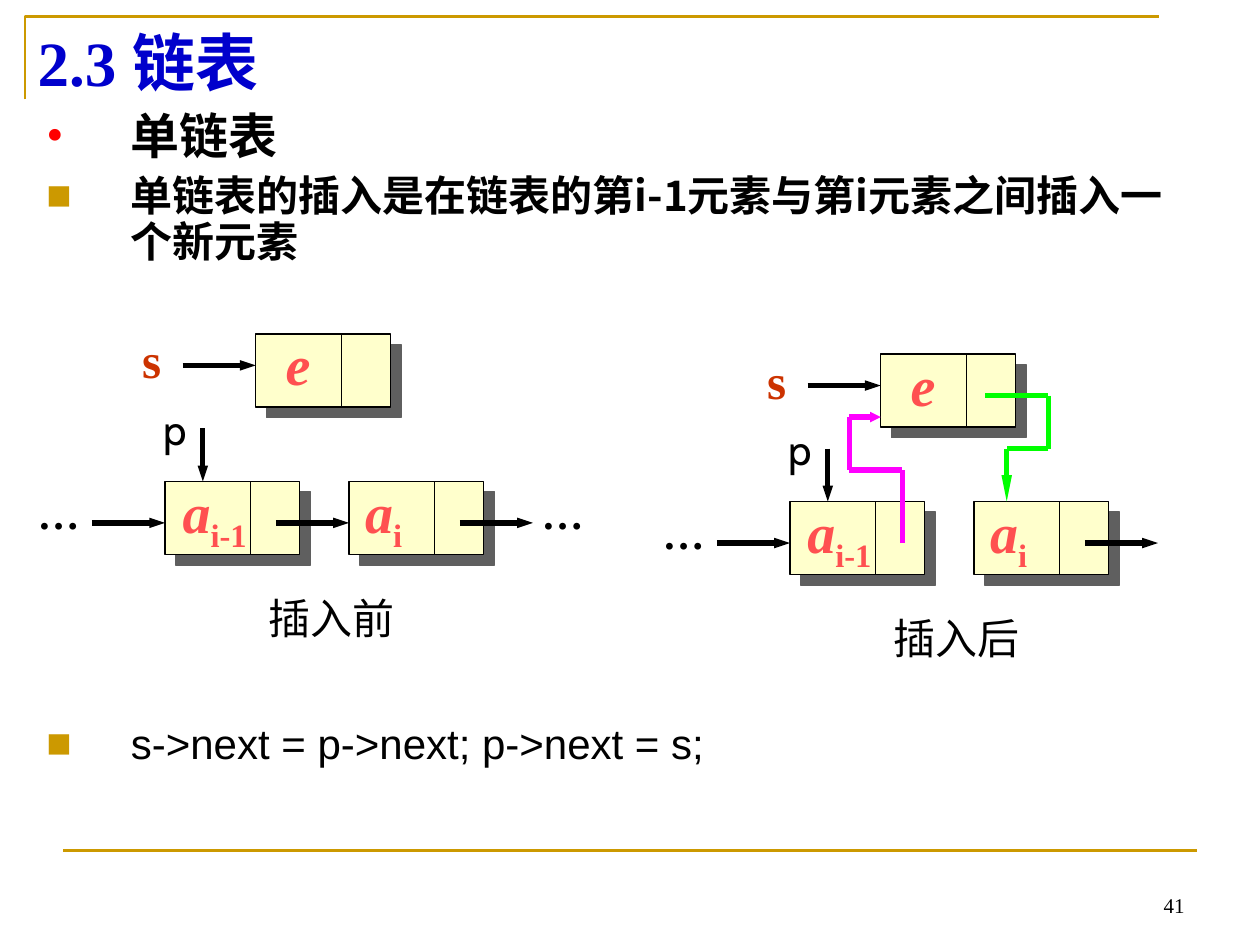
from lxml.etree import SubElement
from pptx import Presentation
from pptx.dml.color import RGBColor
from pptx.enum.shapes import MSO_CONNECTOR, MSO_SHAPE
from pptx.enum.text import MSO_ANCHOR, PP_ALIGN
from pptx.oxml.ns import qn
from pptx.util import Inches, Pt

GOLD, BLACK, MAGENTA, GREEN = "CC9900", "000000", "FF00FF", "00FF00"
SERIF, SANS, CJK = "Times New Roman", "Cabin", "Noto Sans CJK SC"
ELEMENT = dict(size=32, color="FF5050", bold=True, italic=True)
POINTER = dict(size=28, color="CC3300", bold=True)
DOTS = dict(size=24, bold=True)
CAPTION = dict(size=24, font=SANS)

TITLE = "2.3 链表"
TOPICS = [
    ("单链表", 28, "•", "FF0000", CJK, True),
    ("单链表的插入是在链表的第i-1元素与第i元素之间插入一个新元素", 24, "■", GOLD, CJK, True),
]
CODE = [("s->next = p->next; p->next = s;", 24, "■", GOLD, "Arial", False)]

NODE_W, NODE_H, DATA_W, ARROW = 1.07, 0.58, 0.68, 0.58
NODES = [(1.31, 3.82), (2.77, 3.82), (2.03, 2.65)]
ELEMENTS = [
    ("a", "i-1", 1.35, 3.74, 0.75, 0.71),
    ("a", "i", 2.8, 3.74, 0.75, 0.71),
    ("e", "", 2.04, 2.57, 0.65, 0.64),
]
LABELS = [
    ("s", 1.03, 2.57, 0.4, 0.57, POINTER),
    ("p", 1.2, 3.15, 0.75, 0.5, CAPTION),
    ("…", 0.2, 3.82, 0.75, 0.5, DOTS),
]
ARROWS = [
    (0.73, 4.15, 0.73 + ARROW, 4.15),
    (3.65, 4.15, 3.65 + ARROW, 4.15),
    (1.45, 2.9, 1.45 + ARROW, 2.9),
    (1.61, 3.4, 1.61, 3.82),
]
BEFORE, AFTER = (0, 0), (4.96, 0.16)
NEW_LINKS = [
    (MAGENTA, "sm", [(7.16, 4.31), (7.16, 3.73), (6.74, 3.73), (6.74, 3.31), (6.99, 3.31)]),
    (GREEN, "lg", [(7.82, 3.14), (8.32, 3.14), (8.32, 3.56), (7.99, 3.56), (7.99, 3.98)]),
]

deck = Presentation()
deck.slide_width, deck.slide_height = Inches(10), Inches(7.5)
slide = deck.slides.add_slide(deck.slide_layouts[6])
shapes = slide.shapes


def rgb(color):
    return RGBColor.from_string(color)


def set_font(font, size, color=BLACK, font_name=SERIF, bold=False, italic=False):
    font.size, font.name, font.bold, font.italic = Pt(size), font_name, bold, italic
    font.color.rgb = rgb(color)


def add_frame(x, y, w, h):
    frame = shapes.add_textbox(*map(Inches, (x, y, w, h))).text_frame
    frame.word_wrap = True
    return frame


def add_label(text, x, y, w, h, size, color=BLACK, font=SERIF, bold=False, italic=False,
              sub="", align=PP_ALIGN.LEFT, anchor=MSO_ANCHOR.TOP):
    frame = add_frame(x, y, w, h)
    frame.vertical_anchor = anchor
    paragraph = frame.paragraphs[0]
    paragraph.alignment = align
    paragraph.add_run().text = text
    set_font(paragraph.font, size, color, font, bold, italic)
    if sub:
        subscript = paragraph.add_run()
        subscript.text = sub
        subscript.font.italic = False
        subscript.font._element.set("baseline", "-25000")


def add_bullets(items, x, y, w, h):
    frame = add_frame(x, y, w, h)
    for index, (text, size, mark, mark_color, font, bold) in enumerate(items):
        paragraph = frame.add_paragraph() if index else frame.paragraphs[0]
        paragraph.text = text
        props = paragraph._p.get_or_add_pPr()
        props.set("marL", str(Inches(0.67)))
        props.set("indent", str(-Inches(0.67)))
        SubElement(SubElement(props, qn("a:buClr")), qn("a:srgbClr"), val=mark_color)
        SubElement(props, qn("a:buFont"), typeface=SERIF)
        SubElement(props, qn("a:buChar"), char=mark)
        paragraph.line_spacing = 0.9
        if index:
            paragraph.space_before = Pt(6)
        set_font(paragraph.font, size, font_name=font, bold=bold)


def add_line(x1, y1, x2, y2, color=BLACK, width=3, head=None):
    line = shapes.add_connector(MSO_CONNECTOR.STRAIGHT, *map(Inches, (x1, y1, x2, y2)))
    line.line.color.rgb = rgb(color)
    line.line.width = Pt(width)
    if head:
        SubElement(line.line._get_or_add_ln(), qn("a:tailEnd"), type="triangle", w="sm", len=head)
    SubElement(line._element.spPr, qn("a:effectLst"))


def add_node(x, y):
    node = shapes.add_shape(MSO_SHAPE.RECTANGLE, *map(Inches, (x, y, NODE_W, NODE_H)))
    node.fill.solid()
    node.fill.fore_color.rgb = rgb("FFFFCC")
    node.line.color.rgb = rgb(BLACK)
    node.line.width = Pt(0.75)
    node.shadow.inherit = False
    effects = node._element.spPr.find(qn("a:effectLst"))
    shadow = SubElement(effects, qn("a:outerShdw"), dist=str(Pt(8.5)), dir="2700000",
                        algn="ctr", rotWithShape="0")
    SubElement(shadow, qn("a:srgbClr"), val="5F5F5F")
    add_line(x + DATA_W, y, x + DATA_W, y + NODE_H, width=0.75)


def add_list_diagram(dx, dy):
    for x, y in NODES:
        add_node(x + dx, y + dy)
    for text, sub, x, y, w, h in ELEMENTS:
        add_label(text, x + dx, y + dy, w, h, sub=sub,
                  align=PP_ALIGN.LEFT if sub else PP_ALIGN.CENTER, **ELEMENT)
    for text, x, y, w, h, style in LABELS:
        add_label(text, x + dx, y + dy, w, h, **style)
    for x1, y1, x2, y2 in ARROWS:
        add_line(x1 + dx, y1 + dy, x2 + dx, y2 + dy, head="med")


def main():
    """Build the linked-list insertion slide."""
    corner = shapes.build_freeform(Inches(0.2), Inches(0.79))
    corner.add_line_segments([(Inches(0.2), Inches(0.13)), (Inches(9.2), Inches(0.13))], close=False)
    frame_line = corner.convert_to_shape()
    frame_line.fill.background()
    frame_line.line.color.rgb = rgb(GOLD)
    frame_line.line.width = Pt(1.5)
    frame_line.shadow.inherit = False
    add_line(0.5, 6.75, 9.5, 6.75, GOLD, 1.5)

    add_label("41", 7.17, 6.83, 2.33, 0.5, 12, align=PP_ALIGN.RIGHT, anchor=MSO_ANCHOR.BOTTOM)
    add_label(TITLE, 0.2, 0.13, 9, 0.71, 36, "0000CC", bold=True, anchor=MSO_ANCHOR.MIDDLE)
    add_bullets(TOPICS, 0.27, 0.84, 9.29, 1.4)
    add_bullets(CODE, 0.27, 5.69, 9.29, 0.5)

    add_list_diagram(*BEFORE)
    add_line(2.19, 4.15, 2.19 + ARROW, 4.15, head="med")
    add_label("…", 4.2, 3.82, 0.75, 0.5, **DOTS)
    add_label("插入前", 2.03, 4.65, 1.33, 0.5, **CAPTION)

    add_list_diagram(*AFTER)
    for color, head, corners in NEW_LINKS:
        for start, end in zip(corners, corners[1:]):
            add_line(*start, *end, color, head=head if end == corners[-1] else None)
    add_label("插入后", 6.99, 4.81, 1.42, 0.5, **CAPTION)
    deck.save("out.pptx")


if __name__ == "__main__":
    main()
